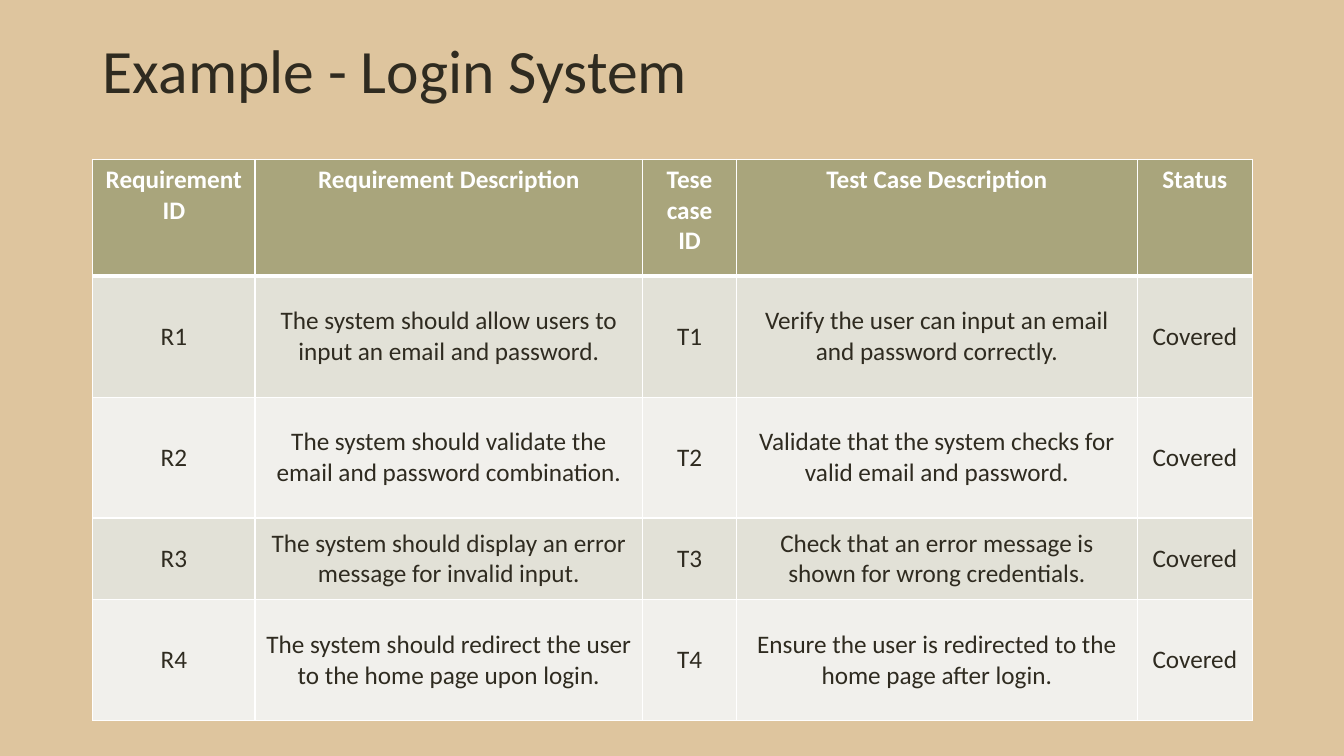
from lxml.etree import SubElement
from pptx import Presentation
from pptx.dml.color import RGBColor
from pptx.enum.text import MSO_ANCHOR as Anchor, PP_ALIGN as Align
from pptx.oxml.ns import qn
from pptx.util import Inches, Pt

SAND, OLIVE, WHITE, INK = "DEC59E", "A9A57C", "FFFFFF", "2F2B20"
BANDS = ("E2E1D7", "F1F0EC")
COLUMN_WIDTHS = (1.61, 3.85, 0.93, 3.98, 1.14)
ROW_HEIGHTS = (1.16, 1.2, 1.2, 0.81, 1.2)
HEADINGS = ("Requirement ID", "Requirement Description", "Tese case ID",
            "Test Case Description", "Status")
CASES = (
    ("The system should allow users to input an email and password.",
     "Verify the user can input an email and password correctly."),
    ("The system should validate the email and password combination.",
     "Validate that the system checks for valid email and password."),
    ("The system should display an error message for invalid input.",
     "Check that an error message is shown for wrong credentials."),
    ("The system should redirect the user to the home page upon login.",
     "Ensure the user is redirected to the home page after login."),
)


def rgb(color):
    return RGBColor.from_string(color)


def paint(fill, color):
    fill.solid()
    fill.fore_color.rgb = rgb(color)


def write(frame, text, align, color, **font_format):
    frame.text = text
    paragraph = frame.paragraphs[0]
    paragraph.alignment = align
    font = paragraph.runs[0].font
    font.color.rgb = rgb(color)
    for name, value in {"name": "Calibri", **font_format}.items():
        setattr(font, name, value)
    return paragraph


def add_borders(cell, **widths):
    """Draw white cell edges; widths in points are keyed L, R, T, B."""
    properties = cell._tc.get_or_add_tcPr()
    for side, width in widths.items():
        edge = SubElement(properties, qn(f"a:ln{side}"), w=str(Pt(width)))
        SubElement(SubElement(edge, qn("a:solidFill")), qn("a:srgbClr"), val=WHITE)


def place_title(slide, left, top, width, height):
    title = slide.shapes.title
    box = {"left": left, "top": top, "width": width, "height": height}
    for name, value in box.items():
        setattr(title, name, Inches(value))
    title.text_frame.vertical_anchor = Anchor.MIDDLE
    heading = write(title.text_frame, "Example - Login System", Align.LEFT, INK, size=Pt(44))
    heading.line_spacing = 0.9


def add_traceability_table(slide, left, top, width, height):
    requirements = [(f"R{number}", requirement, f"T{number}", test, "Covered")
                    for number, (requirement, test) in enumerate(CASES, 1)]
    rows = [HEADINGS, *requirements]
    box = map(Inches, (left, top, width, height))
    table = slide.shapes.add_table(len(rows), len(HEADINGS), *box).table
    for column, share in zip(table.columns, COLUMN_WIDTHS):
        column.width = Inches(width * share / sum(COLUMN_WIDTHS))
    for row, share in zip(table.rows, ROW_HEIGHTS):
        row.height = Inches(height * share / sum(ROW_HEIGHTS))

    for row_index, texts in enumerate(rows):
        is_header = row_index == 0
        for column_index, text in enumerate(texts):
            cell = table.cell(row_index, column_index)
            cell.vertical_anchor = Anchor.TOP if is_header else Anchor.MIDDLE
            write(cell.text_frame, text, Align.CENTER, WHITE if is_header else INK,
                  size=Pt(18), bold=is_header)
            add_borders(cell, L=1, R=1, T=3 if row_index == 1 else 1,
                        B=3 if is_header else 1)
            paint(cell.fill, OLIVE if is_header else BANDS[(row_index - 1) % 2])


def main():
    deck = Presentation()
    deck.slide_width, deck.slide_height = Inches(13.33), Inches(7.5)
    slide = deck.slides.add_slide(deck.slide_layouts[5])
    paint(slide.background.fill, SAND)
    place_title(slide, 0.92, 0, 11.5, 1.45)
    add_traceability_table(slide, 0.92, 1.58, 11.5, 5.57)
    deck.save("out.pptx")


if __name__ == "__main__":
    main()
